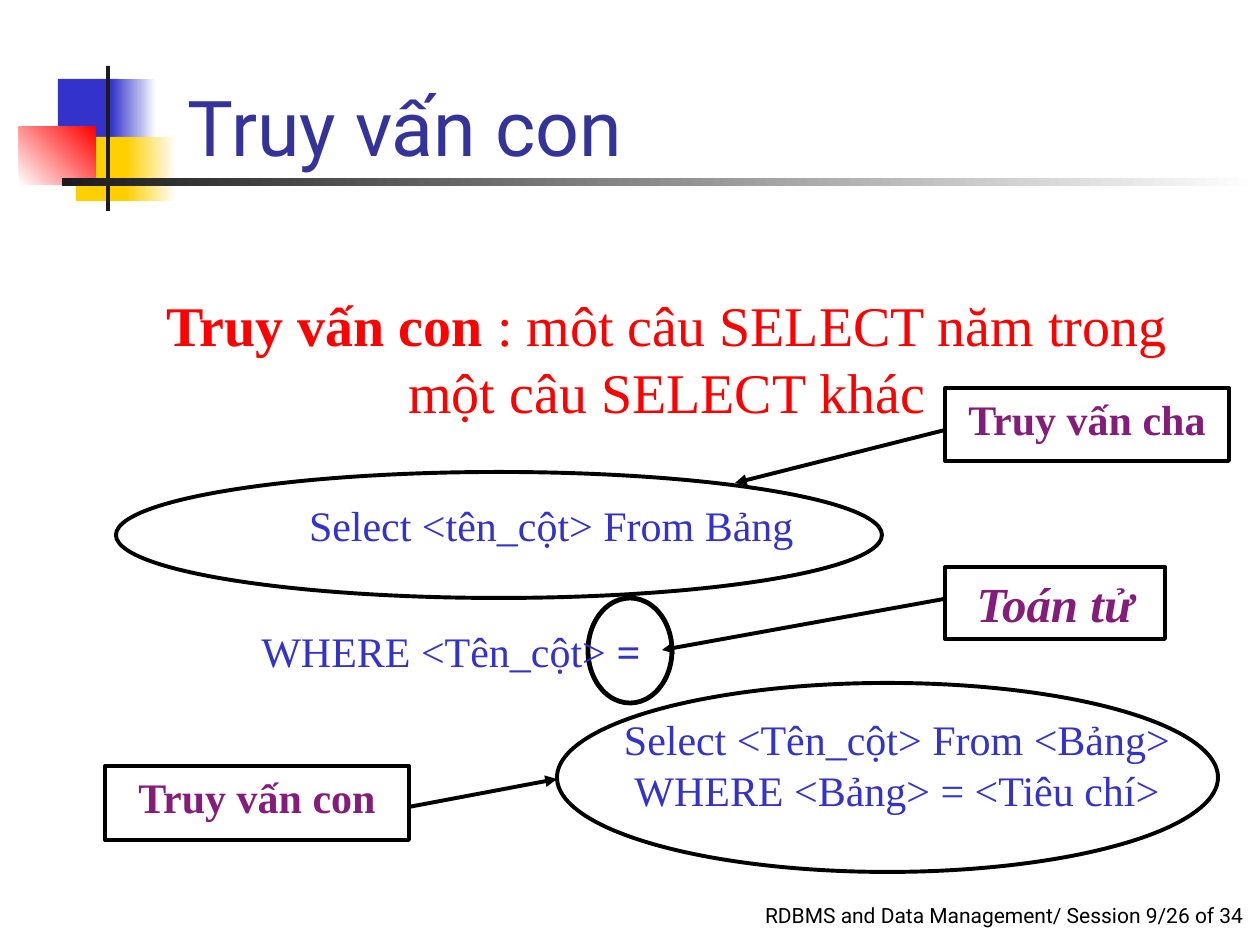
from lxml.etree import SubElement
from pptx import Presentation
from pptx.dml.color import RGBColor
from pptx.enum.shapes import MSO_CONNECTOR, MSO_SHAPE
from pptx.enum.text import MSO_ANCHOR, PP_ALIGN
from pptx.oxml.ns import qn
from pptx.util import Pt

EMU_PER_INCH = 914400
PX_PER_INCH = 126
SANS = "Roboto"
SERIF = "Times New Roman"
BLACK = RGBColor(0x00, 0x00, 0x00)
CHARCOAL = RGBColor(0x1C, 0x1C, 0x1C)
WHITE = RGBColor(0xFF, 0xFF, 0xFF)
BLUE = RGBColor(0x33, 0x33, 0xCC)
TITLE_BLUE = RGBColor(0x33, 0x33, 0x99)
YELLOW = RGBColor(0xFF, 0xCF, 0x01)
RED = RGBColor(0xFF, 0x00, 0x00)
PURPLE = RGBColor(0x83, 0x1D, 0x79)


def px(length):
    """Turn pixels into EMU."""
    return round(length * EMU_PER_INCH / PX_PER_INCH)


def place(box, part):
    """Return the EMU rectangle of a part given relative to a box."""
    left, top, width, height = part
    return [px(length) for length in (box[0] + left, box[1] + top, width, height)]


def write(shape, pieces, size, color, font=SERIF, align=PP_ALIGN.CENTER,
          anchor=MSO_ANCHOR.TOP, italic=False, right_inset=13):
    """Fill a shape with one paragraph made of (text, bold) pieces."""
    frame = shape.text_frame
    frame.word_wrap = True
    frame.vertical_anchor = anchor
    frame.margin_left, frame.margin_right = px(13), px(right_inset)
    frame.margin_top = frame.margin_bottom = px(6)
    paragraph = frame.paragraphs[0]
    paragraph.alignment = align
    for text, bold in pieces:
        run = paragraph.add_run()
        run.text = text
        run.font.name = font
        run.font.size = Pt(size)
        run.font.color.rgb = color
        run.font.bold = bold
        run.font.italic = italic


def add_outline(slide, preset, rectangle, weight=2.25):
    """Add an unfilled shape with a black outline."""
    shape = slide.shapes.add_shape(preset, *rectangle)
    shape.shadow.inherit = False
    shape.fill.background()
    shape.line.color.rgb = BLACK
    shape.line.width = Pt(weight)
    return shape


def add_decoration(slide, box):
    """Draw the coloured squares and the two crossing bars."""
    bars = [
        ((39, 13, 60, 64), BLUE, None, 0),
        ((92, 13, 45, 64), BLUE, WHITE, 0),
        ((57, 71, 58, 64), YELLOW, None, 0),
        ((107, 71, 50, 64), YELLOW, WHITE, 0),
        ((0, 61, 77, 58), WHITE, RED, 45),
        ((87, 0, 4, 145), CHARCOAL, None, 0),
        ((43, 112, 1197, 8), CHARCOAL, WHITE, 0),
    ]
    for part, start, end, angle in bars:
        shape = slide.shapes.add_shape(MSO_SHAPE.RECTANGLE, *place(box, part))
        shape.shadow.inherit = False
        shape.line.fill.background()
        if end is None:
            shape.fill.solid()
            shape.fill.fore_color.rgb = start
        else:
            shape.fill.gradient()
            shape.fill.gradient_angle = angle
            for stop, color in zip(shape.fill.gradient_stops, (start, end)):
                stop.color.rgb = color


def add_text(slide, box, pieces, size, color, **style):
    """Add a text box that fills the given box."""
    shape = slide.shapes.add_textbox(*place((0, 0), box))
    write(shape, pieces, size, color, **style)


def add_callout(slide, box, label, tip, tail, size=24, italic=False):
    """Add a boxed label with an arrow, its ends relative to the box."""
    ends = [px(box[axis] + point[axis]) for point in (tip, tail) for axis in (0, 1)]
    arrow = slide.shapes.add_connector(MSO_CONNECTOR.STRAIGHT, *ends)
    arrow.line.color.rgb = BLACK
    arrow.line.width = Pt(2.25)
    SubElement(arrow.line._get_or_add_ln(), qn("a:headEnd"), type="triangle")
    SubElement(arrow._element.spPr, qn("a:effectLst"))
    shape = add_outline(slide, MSO_SHAPE.RECTANGLE, place((0, 0), box))
    shape.fill.solid()
    shape.fill.fore_color.rgb = WHITE
    write(shape, [(label, True)], size, PURPLE, italic=italic)


def add_query(slide, box):
    """Draw the nested query with its parts circled."""
    ovals = [
        ((0, 0, 766, 126), 2.25),
        ((441, 211, 661, 189), 2.25),
        ((472, 126, 84, 105), 2.75),
    ]
    clauses = [
        ((31, 22, 809, 63), [("Select <tên_cột> From Bảng", False)]),
        ((20, 148, 630, 63), [("WHERE <Tên_cột> ", False), ("=", True)]),
        ((461, 236, 640, 113),
         [("Select <Tên_cột> From <Bảng> WHERE <Bảng> = <Tiêu chí>", False)]),
    ]
    for part, weight in ovals:
        add_outline(slide, MSO_SHAPE.OVAL, place(box, part), weight)
    for (left, top, width, height), pieces in clauses:
        add_text(slide, (box[0] + left, box[1] + top, width, height), pieces, 24, BLUE)


def main():
    """Build the subquery slide."""
    presentation = Presentation()
    presentation.slide_width, presentation.slide_height = px(1260), px(945)
    slide = presentation.slides.add_slide(presentation.slide_layouts[6])
    add_text(slide, (746, 897, 504, 67),
             [("RDBMS and Data Management/ Session 9/26 of 34", False)],
             12, BLACK, font=SANS, right_inset=0)
    add_decoration(slide, (19, 66))
    add_text(slide, (175, 20, 1074, 158), [("Truy vấn con", False)], 44, TITLE_BLUE,
             font=SANS, align=PP_ALIGN.LEFT, anchor=MSO_ANCHOR.BOTTOM)
    add_callout(slide, (945, 388, 284, 73), "Truy vấn cha", (-210, 95), (0, 42))
    add_callout(slide, (105, 766, 304, 74), "Truy vấn con", (452, 13), (293, 43))
    add_callout(slide, (945, 567, 220, 72), "Toán tử", (-283, 83), (10, 30),
                size=28, italic=True)
    add_query(slide, (116, 472))
    add_text(slide, (105, 284, 1124, 147),
             [("Truy vấn con", True),
              (" : môt câu SELECT năm trong một câu SELECT khác", False)], 32, RED)
    presentation.save("out.pptx")


if __name__ == "__main__":
    main()
